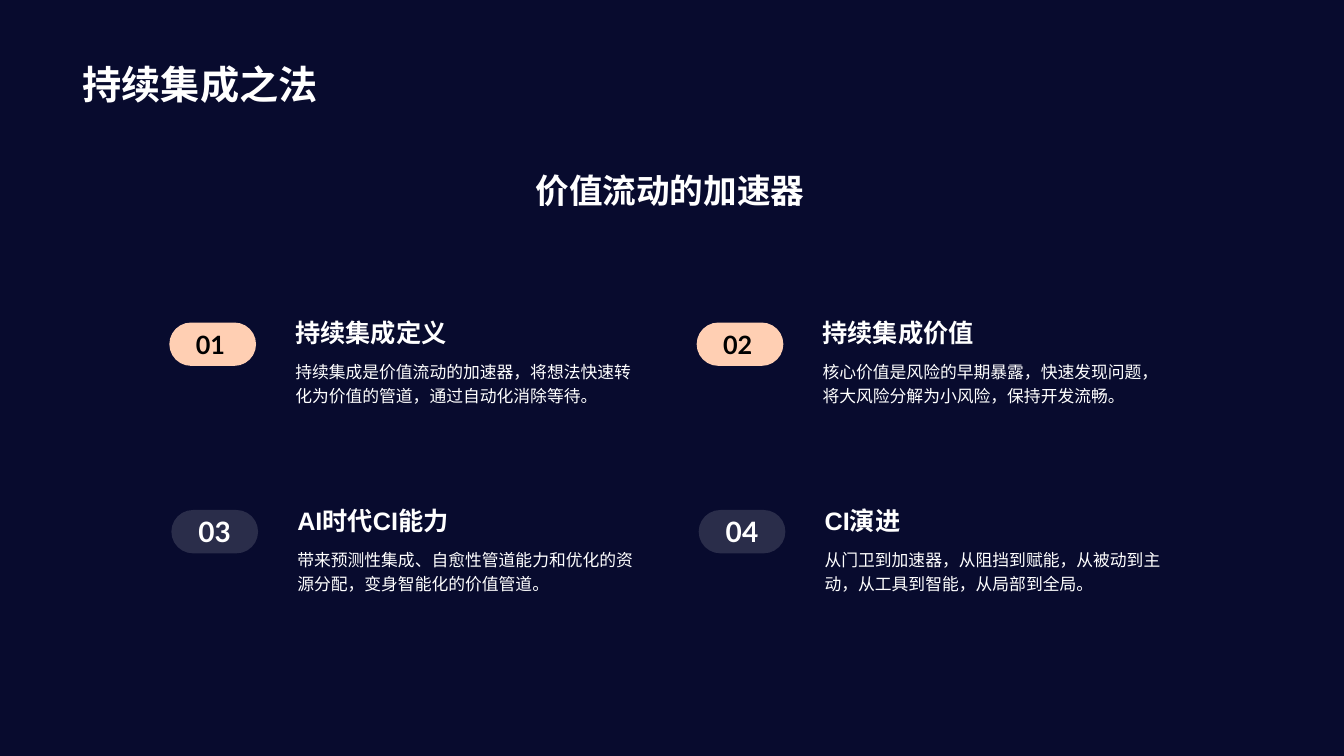
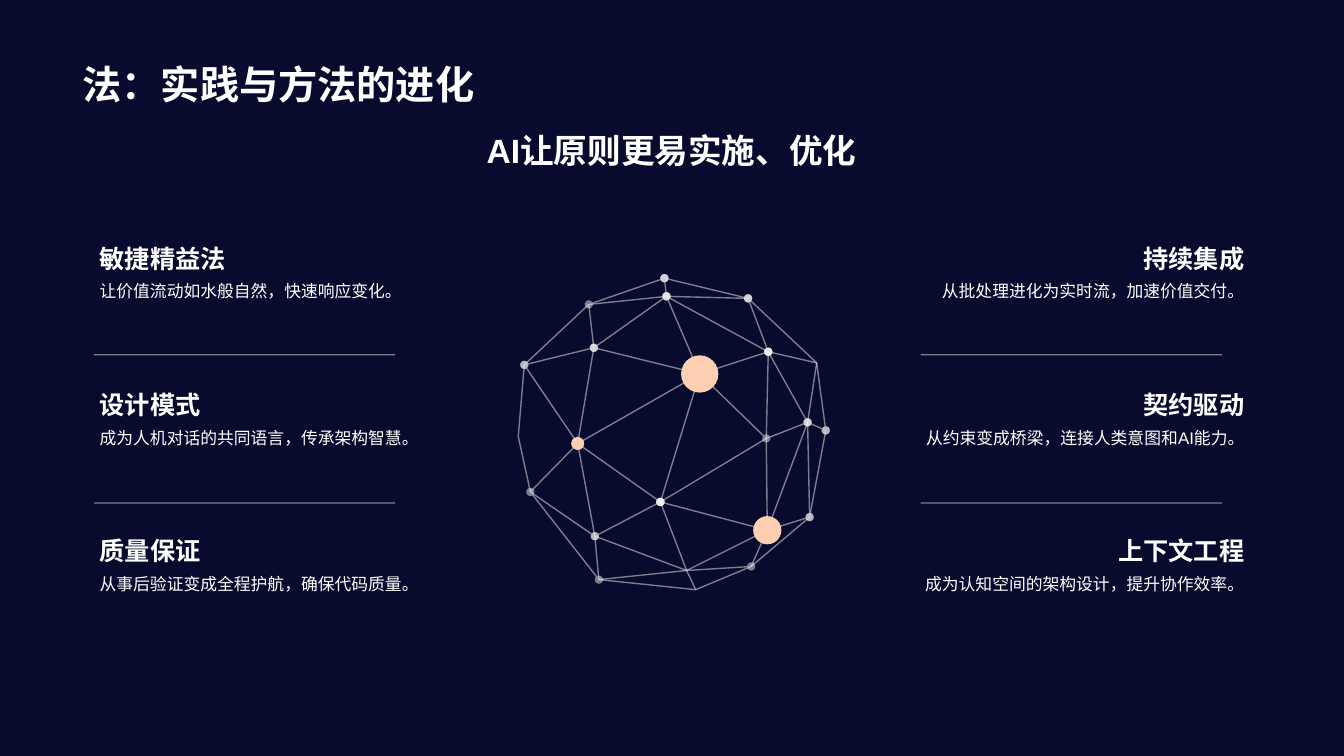
from lxml import etree
from pptx import Presentation
from pptx import util as u
from pptx.dml.color import RGBColor
from pptx.enum import shapes, text
from pptx.oxml.ns import qn

NAVY = RGBColor(0x08, 0x0B, 0x2E)
PEACH = RGBColor(0xFF, 0xCF, 0xB3)
MIST = RGBColor(0xF0, 0xF0, 0xF0)
WHITE = RGBColor(0xFF, 0xFF, 0xFF)
BLACK = RGBColor(0, 0, 0)
LEFT, CENTER, RIGHT = text.PP_ALIGN.LEFT, text.PP_ALIGN.CENTER, text.PP_ALIGN.RIGHT
TOP, MIDDLE, BOTTOM = (text.MSO_ANCHOR.TOP, text.MSO_ANCHOR.MIDDLE,
                       text.MSO_ANCHOR.BOTTOM)

POINTS = [
    ("01", "持续集成定义",
     "持续集成是价值流动的加速器，将想法快速转化为价值的管道，通过自动化消除等待。"),
    ("02", "持续集成价值",
     "核心价值是风险的早期暴露，快速发现问题，将大风险分解为小风险，保持开发流畅。"),
    ("03", "AI时代CI能力",
     "带来预测性集成、自愈性管道能力和优化的资源分配，变身智能化的价值管道。"),
    ("04", "CI演进",
     "从门卫到加速器，从阻挡到赋能，从被动到主动，从工具到智能，从局部到全局。"),
]

LEFT_PRACTICES = [
    ("敏捷精益法", "让价值流动如水般自然，快速响应变化。"),
    ("设计模式", "成为人机对话的共同语言，传承架构智慧。"),
    ("质量保证", "从事后验证变成全程护航，确保代码质量。"),
]
RIGHT_PRACTICES = [
    ("持续集成", "从批处理进化为实时流，加速价值交付。"),
    ("契约驱动", "从约束变成桥梁，连接人类意图和AI能力。"),
    ("上下文工程", "成为认知空间的架构设计，提升协作效率。"),
]

NODES = {
    "n": (6.59, 2.76), "ne": (7.42, 2.96), "ene": (8.1, 3.6), "e": (8.19, 4.27),
    "ese": (8.03, 5.13), "se": (7.45, 5.62), "s": (6.9, 5.85), "sw": (5.94, 5.75),
    "wsw": (5.26, 4.88), "w": (5.14, 4.33), "wnw": (5.2, 3.62), "nw": (5.84, 3.02),
    "in_n": (6.61, 2.94), "in_nw": (5.89, 3.45), "in_ne": (7.62, 3.49),
    "hub": (6.94, 3.71), "in_w": (5.73, 4.4), "in_e": (8.01, 4.19),
    "mid": (7.6, 4.35), "in_s": (6.55, 4.98), "in_sw": (5.9, 5.32),
    "low": (6.81, 5.66), "in_se": (7.61, 5.26),
}
BOTH, HEAD, TAIL, PLAIN = ("headEnd", "tailEnd"), ("headEnd",), ("tailEnd",), ()
ROUTES = [
    ("ne n", BOTH), ("e ene ne", BOTH), ("sw s se ese e", PLAIN),
    ("wsw sw", BOTH), ("wnw w wsw", PLAIN), ("n nw", BOTH),
    ("nw in_n ne", PLAIN), ("in_w in_sw sw", PLAIN), ("nw in_nw in_w", TAIL),
    ("in_s low s", HEAD), ("in_n hub in_s", BOTH), ("n in_n", BOTH),
    ("nw wnw", PLAIN), ("e in_e", BOTH), ("in_ne ne", BOTH),
    ("in_e in_ne", BOTH), ("ese in_e", HEAD), ("in_s in_se ese", BOTH),
    ("in_w in_s", BOTH), ("wnw in_w", BOTH), ("in_nw wnw", BOTH),
    ("in_n in_nw", BOTH), ("in_ne in_n", BOTH), ("in_e ene in_ne", PLAIN),
    ("in_ne mid in_se in_e", HEAD), ("hub in_ne", BOTH), ("in_w hub", BOTH),
    ("in_sw wsw in_w", BOTH), ("in_s in_sw", BOTH), ("in_e mid in_s", BOTH),
    ("se low sw", HEAD), ("in_sw low in_se se", PLAIN), ("hub mid", BOTH),
    ("in_nw hub", BOTH),
]
DOTS = [("hub", 0.37), ("in_se", 0.28), ("in_w", 0.13)]


def inches(*values):
    return [u.Inches(v) for v in values]


def set_text(tf, content, size=12, bold=False, color=WHITE, font="Arial",
             align=LEFT, anchor=TOP, spacing=None, wrap=True):
    tf.word_wrap = wrap
    tf.vertical_anchor = anchor
    p = tf.paragraphs[0]
    p.alignment = align
    if spacing:
        p.line_spacing = spacing
    r = p.add_run()
    r.text = content
    r.font.size = u.Pt(size)
    r.font.bold = bold
    r.font.name = font
    r.font.color.rgb = color


def add_label(s, box, content, **fmt):
    set_text(s.shapes.add_textbox(*inches(*box)).text_frame, content, **fmt)


def set_alpha(color_parent, percent):
    color = color_parent.find(".//" + qn("a:srgbClr"))
    etree.SubElement(color, qn("a:alpha"), val=str(percent * 1000))


def add_filled(s, kind, box, color):
    sp = s.shapes.add_shape(kind, *inches(*box))
    sp.shadow.inherit = False
    sp.fill.solid()
    sp.fill.fore_color.rgb = color
    sp.line.fill.background()
    return sp


def add_route(s, points, ends=PLAIN):
    points = [inches(*point) for point in points]
    if len(points) == 2:
        sp = s.shapes.add_connector(shapes.MSO_CONNECTOR.STRAIGHT,
                                    *points[0], *points[1])
    else:
        builder = s.shapes.build_freeform(*points[0], scale=1.0)
        builder.add_line_segments(points[1:], close=False)
        sp = builder.convert_to_shape()
        sp.fill.background()
    sp.line.width = u.Pt(1)
    sp.line.color.rgb = MIST
    sp_pr = sp._element.spPr
    ln = sp_pr.find(qn("a:ln"))
    set_alpha(ln, 50)
    for end in ends:
        etree.SubElement(ln, qn("a:" + end), type="oval")
    etree.SubElement(sp_pr, qn("a:effectLst"))


def add_pill(s, left, top, number, highlighted):
    sp = add_filled(s, shapes.MSO_SHAPE.ROUNDED_RECTANGLE,
                    (left, top, 0.86, 0.43), PEACH if highlighted else MIST)
    sp.adjustments[0] = 0.5
    tf = sp.text_frame
    fmt = dict(bold=True, font="Lato", anchor=MIDDLE)
    if highlighted:
        tf.margin_left = tf.margin_right = u.Inches(0.2)
        set_text(tf, number, size=18, color=BLACK, wrap=False, **fmt)
    else:
        set_alpha(sp._element.spPr, 15)
        set_text(tf, number, size=20, align=CENTER, **fmt)


def add_point(s, index, number, heading, body):
    row, col = divmod(index, 2)
    left = 1.68 + 5.23 * col + 0.02 * row
    top = 3.12 + 1.86 * row
    add_pill(s, left, top + 0.08, number, row == 0)
    add_label(s, (left + 1.15, top, 3.55, 0.38), heading, size=18, bold=True,
              anchor=BOTTOM, spacing=0.8)
    add_label(s, (left + 1.15, top + 0.38, 3.55, 0.99), body, spacing=1.2)


def add_practices(s, left, width, rule_left, align, practices):
    for i, (heading, body) in enumerate(practices):
        top = 2.2 + 1.45 * i
        add_label(s, (left, top, width, 0.56), heading, size=18, bold=True,
                  align=align, anchor=BOTTOM)
        add_label(s, (left, top + 0.55, width, 0.56), body, align=align,
                  spacing=0.98)
    for y in (3.52, 4.99):
        add_route(s, [(rule_left, y), (rule_left + 2.99, y)])


def add_globe(s):
    for route, ends in ROUTES:
        add_route(s, [NODES[name] for name in route.split()], ends)
    for name, size in DOTS:
        x, y = NODES[name]
        add_filled(s, shapes.MSO_SHAPE.OVAL,
                   (x - size / 2, y - size / 2, size, size), PEACH)


def prepare_layout(prs):
    prs.slide_width, prs.slide_height = inches(13.33, 7.5)
    fill = prs.slide_master.background.fill
    fill.solid()
    fill.fore_color.rgb = NAVY
    layout = prs.slide_layouts.get_by_name("Title Only")
    title = layout.placeholders[0]
    title.left, title.top, title.width, title.height = inches(0.72, 0.14, 11.88, 0.98)
    return layout


def add_slide(prs, layout, title, subtitle, subtitle_box):
    s = prs.slides.add_slide(layout)
    set_text(s.shapes.title.text_frame, title, size=28, bold=True, anchor=BOTTOM)
    add_label(s, subtitle_box, subtitle, size=24, bold=True, align=CENTER)
    return s


def main():
    prs = Presentation()
    layout = prepare_layout(prs)

    s = add_slide(prs, layout, "持续集成之法", "价值流动的加速器",
                  (1.68, 1.64, 9.93, 0.97))
    for i, point in enumerate(POINTS):
        add_point(s, i, *point)

    s = add_slide(prs, layout, "法：实践与方法的进化", "AI让原则更易实施、优化",
                  (0.72, 1.24, 11.88, 0.69))
    add_globe(s)
    add_practices(s, 0.89, 3.83, 0.93, LEFT, LEFT_PRACTICES)
    add_practices(s, 8.65, 3.79, 9.13, RIGHT, RIGHT_PRACTICES)

    prs.save("out.pptx")


if __name__ == "__main__":
    main()
